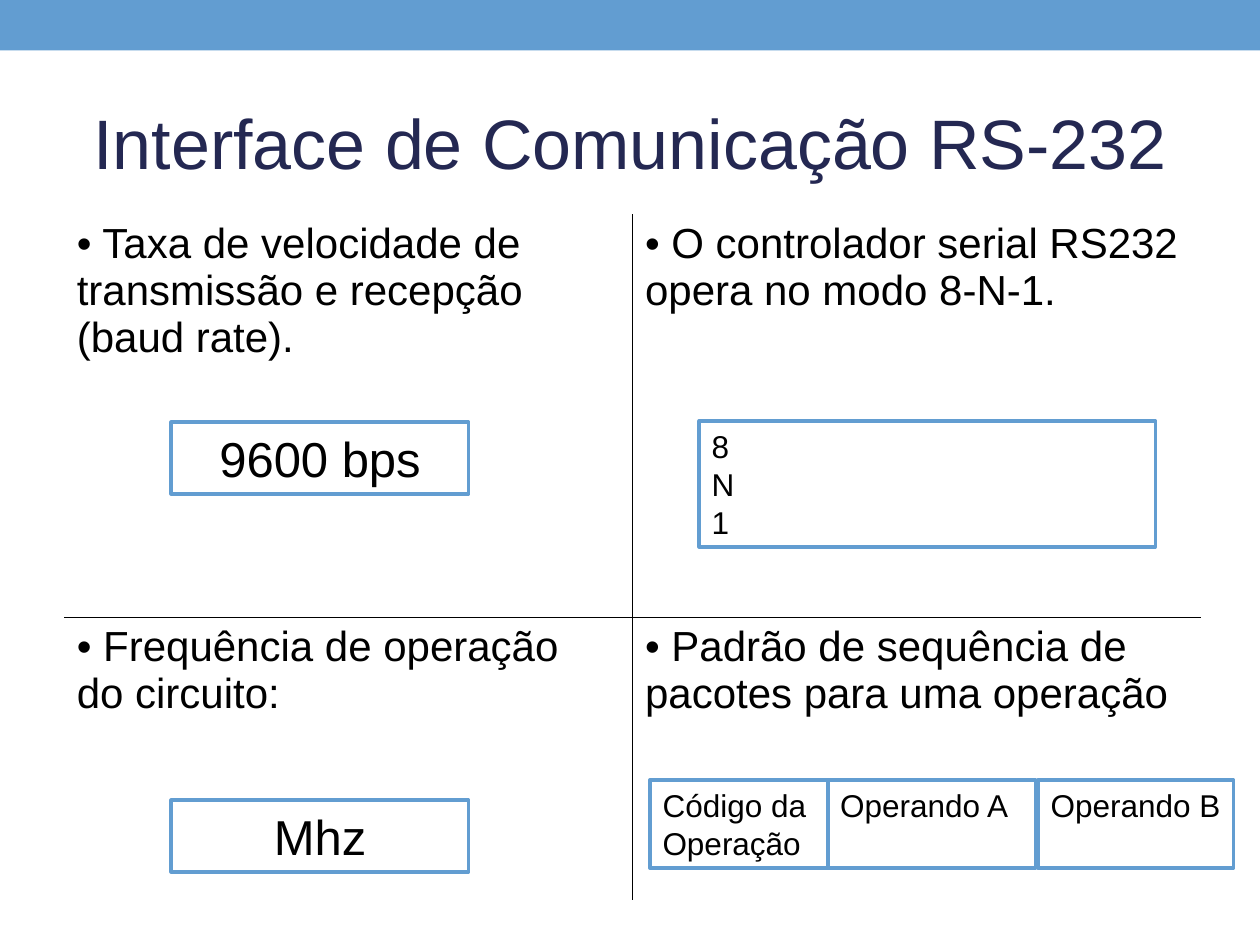
from lxml.etree import SubElement
from pptx import Presentation
from pptx.dml.color import RGBColor
from pptx.enum.shapes import MSO_SHAPE
from pptx.enum.text import MSO_ANCHOR, MSO_AUTO_SIZE, PP_ALIGN
from pptx.oxml.ns import qn
from pptx.util import Inches, Pt

BLUE = RGBColor(0x62, 0x9D, 0xD1)
NAVY = RGBColor(0x24, 0x28, 0x52)
BLACK = RGBColor(0, 0, 0)
WHITE = RGBColor(255, 255, 255)
FONT = "Arial"

TITLE = "Interface de Comunicação RS-232"
CELLS = [
    [["• Taxa de velocidade de transmissão e recepção (baud rate)."],
     ["• O controlador serial RS232 opera no modo 8-N-1."]],
    [["• Frequência de operação", "do circuito:"],
     ["• Padrão de sequência de pacotes para uma operação"]],
]
COL = 4.51
ROWS = [3.2, 2.24]
LEFT, CENTER = PP_ALIGN.LEFT, PP_ALIGN.CENTER
BOXES = [
    (["9600 bps"], (1.36, 3.35, 2.36, 0.57), 28, CENTER, True),
    (["8", "N", "1"], (5.55, 3.34, 3.62, 1), 18, LEFT, True),
    (["Mhz"], (1.36, 6.35, 2.36, 0.57), 28, CENTER, True),
    (["Código da Operação"], (5.16, 6.19, 1.42, 0.7), 18, LEFT, True),
    (["Operando A"], (6.57, 6.19, 1.65, 0.7), 18, LEFT, True),
    (["Operando B"], (8.24, 6.19, 1.55, 0.7), 18, LEFT, False),
]


def write(frame, lines, size, color=BLACK, align=LEFT):
    for i, line in enumerate(lines):
        para = frame.paragraphs[0] if i == 0 else frame.add_paragraph()
        para.alignment = align
        run = para.add_run()
        run.text = line
        run.font.name = FONT
        run.font.size = Pt(size)
        run.font.color.rgb = color


def add_box(slide, area, fill):
    box = slide.shapes.add_shape(MSO_SHAPE.RECTANGLE, *map(Inches, area))
    box.shadow.inherit = False
    box.fill.solid()
    box.fill.fore_color.rgb = fill
    box.line.fill.background()
    return box


def set_edges(cell, inner):
    props = cell._tc.get_or_add_tcPr()
    for side in "LRTB":
        edge = SubElement(props, qn("a:ln" + side), w=str(Pt(0.45)))
        if side in inner:
            fill = SubElement(edge, qn("a:solidFill"))
            SubElement(fill, qn("a:srgbClr"), val=str(BLACK))
        else:
            SubElement(edge, qn("a:noFill"))


def add_grid(slide):
    frame = slide.shapes.add_table(
        2, 2, Inches(0.51), Inches(1.7), Inches(2 * COL), Inches(sum(ROWS)))
    table = frame.table
    table.first_row = table.horz_banding = False
    for r, row in enumerate(CELLS):
        table.rows[r].height = Inches(ROWS[r])
        for c, lines in enumerate(row):
            table.columns[c].width = Inches(COL)
            cell = table.cell(r, c)
            write(cell.text_frame, lines, 24)
            set_edges(cell, "RL"[c] + "BT"[r])
            cell.fill.background()


def main():
    deck = Presentation()
    deck.slide_width, deck.slide_height = Inches(10), Inches(7.5)
    slide = deck.slides.add_slide(deck.slide_layouts[5])
    add_box(slide, (0, 0, 10, 0.4), BLUE)

    title = slide.shapes.title
    title.left, title.top = Inches(0.5), Inches(0.58)
    title.width, title.height = Inches(9), Inches(1.08)
    title.text_frame.vertical_anchor = MSO_ANCHOR.MIDDLE
    write(title.text_frame, [TITLE], 40, NAVY, CENTER)

    add_grid(slide)
    for lines, area, size, align, wrap in BOXES:
        box = add_box(slide, area, WHITE)
        box.line.color.rgb = BLUE
        box.line.width = Pt(2.07)
        frame = box.text_frame
        frame.word_wrap = wrap
        frame.auto_size = MSO_AUTO_SIZE.SHAPE_TO_FIT_TEXT
        frame.vertical_anchor = MSO_ANCHOR.TOP
        write(frame, lines, size, align=align)
    deck.save("out.pptx")


if __name__ == "__main__":
    main()
